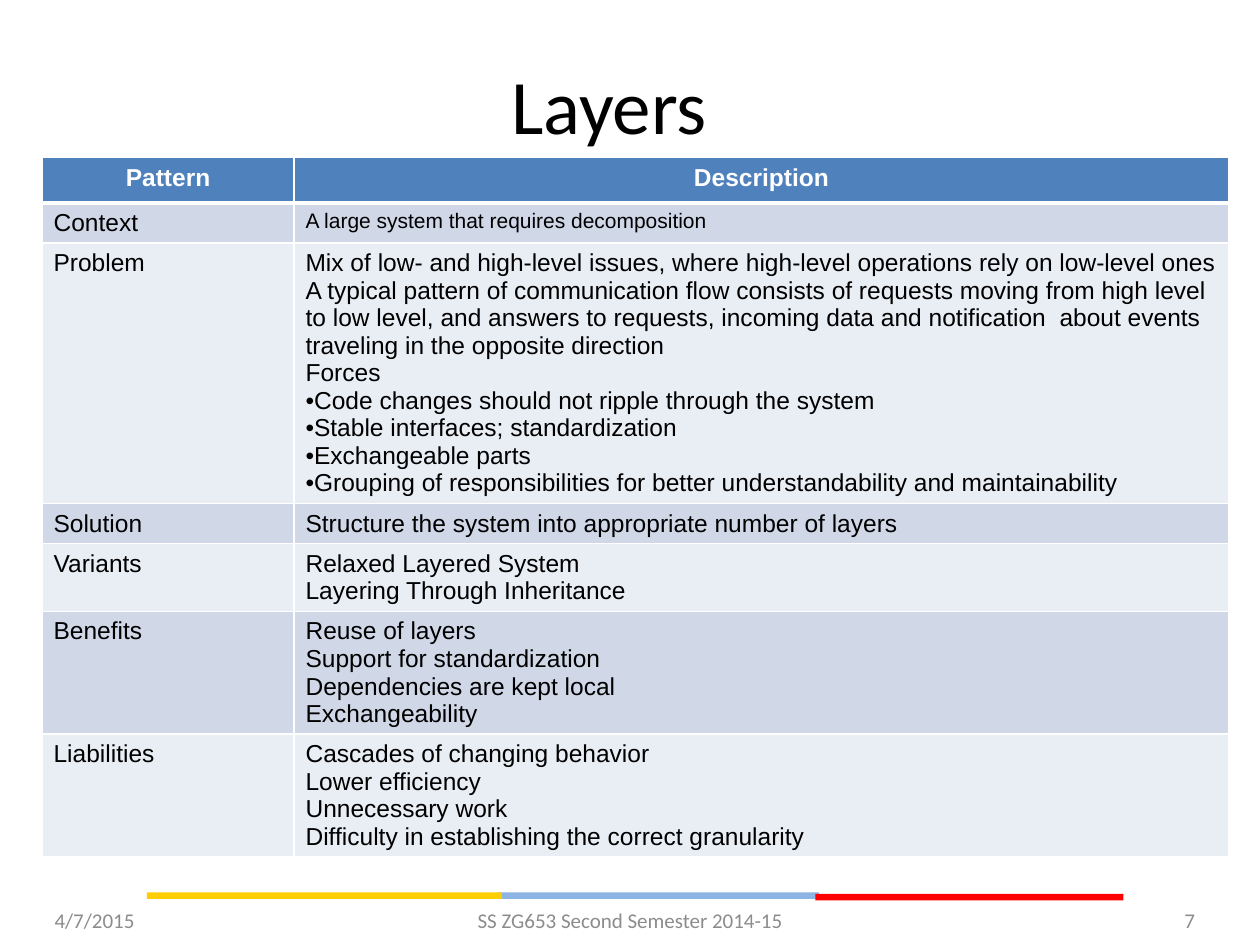
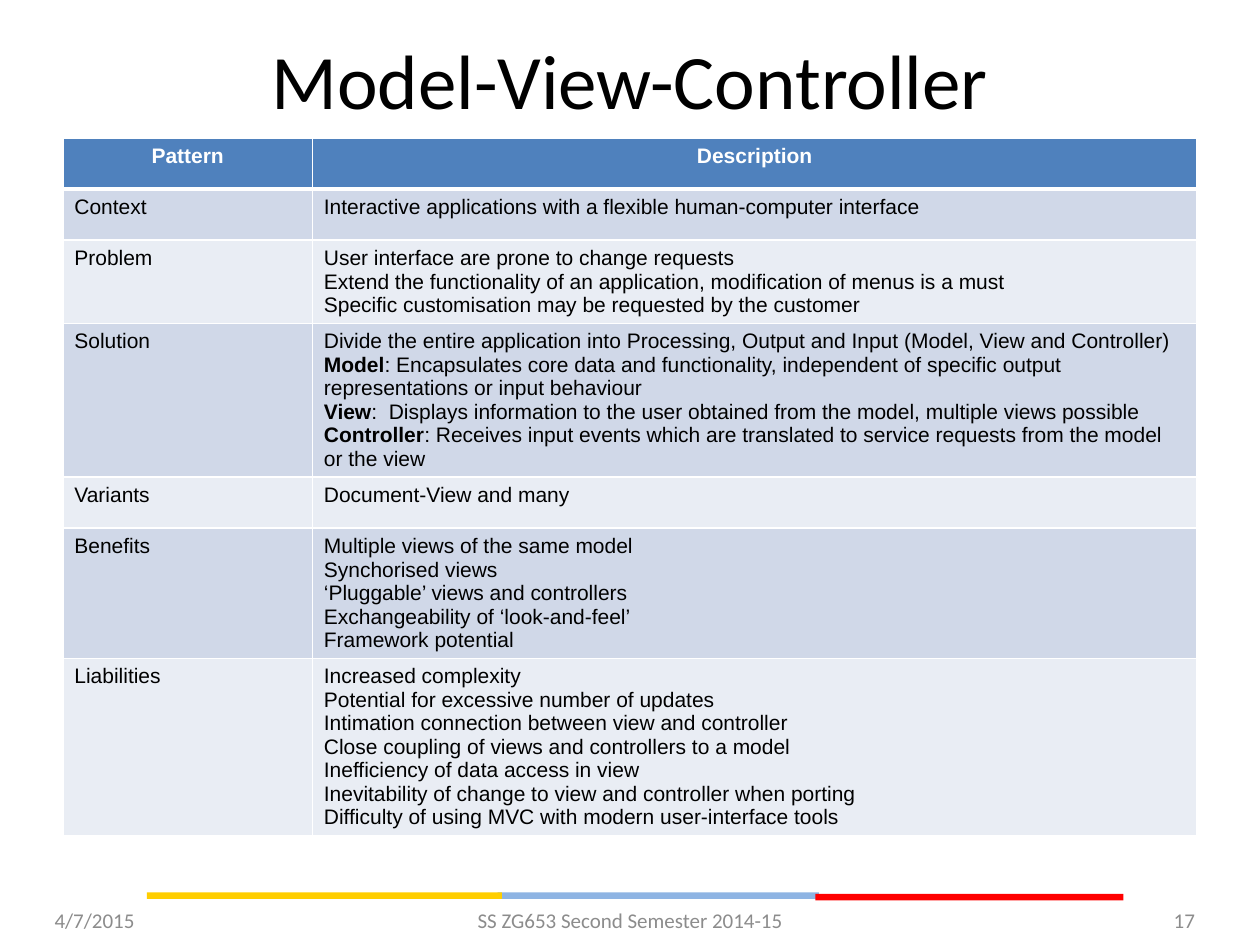
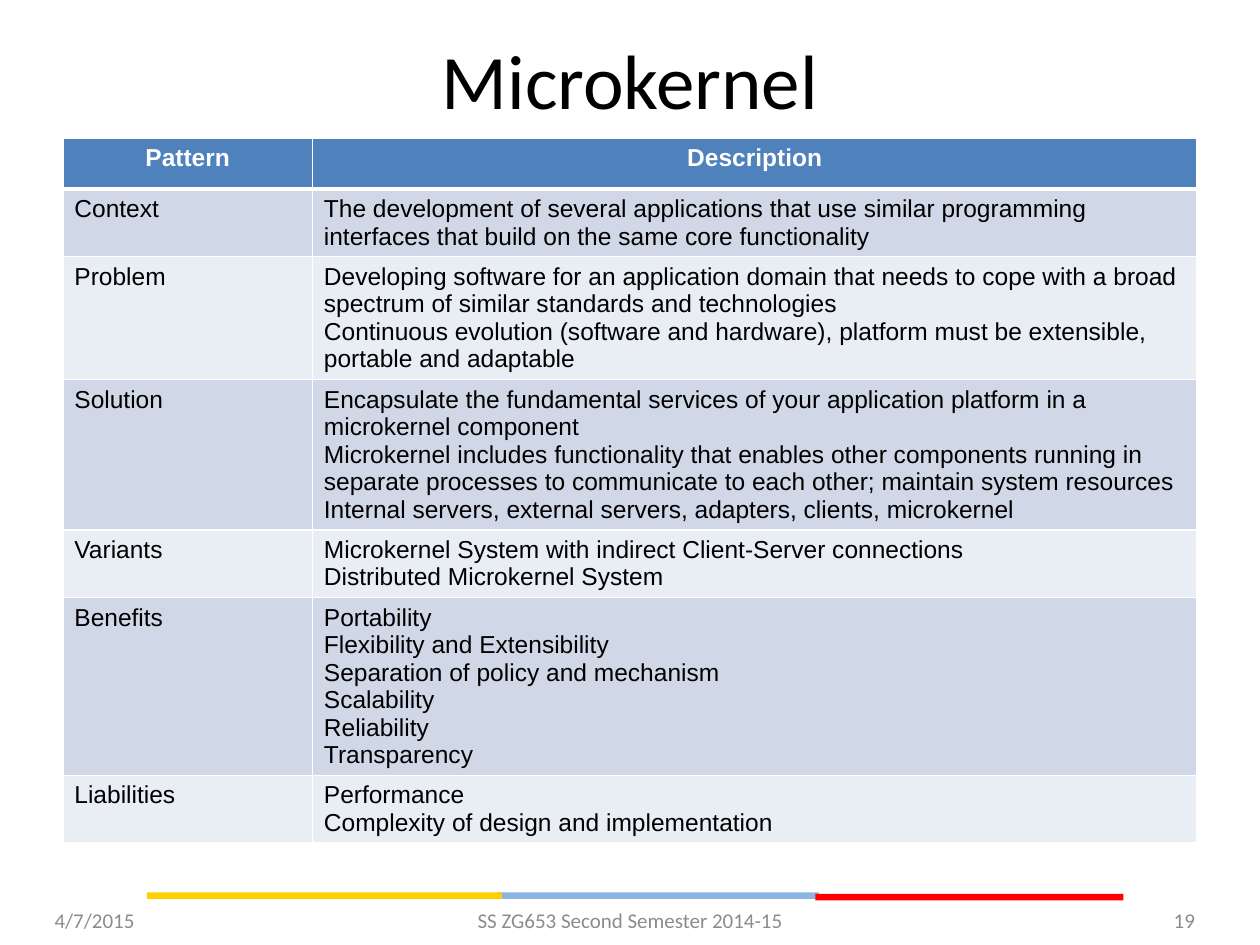
from dataclasses import dataclass

from lxml import etree
from pptx import Presentation
from pptx.dml.color import RGBColor
from pptx.enum.shapes import MSO_SHAPE
from pptx.enum.text import MSO_ANCHOR, PP_ALIGN
from pptx.oxml.ns import qn
from pptx.util import Cm, Pt

RECTANGLE = MSO_SHAPE.RECTANGLE
MIDDLE = MSO_ANCHOR.MIDDLE
LEFT, CENTER, RIGHT = PP_ALIGN.LEFT, PP_ALIGN.CENTER, PP_ALIGN.RIGHT
TITLE_ONLY = 5
BULLET = "•"


@dataclass(frozen=True)
class Theme:
    ink: RGBColor = RGBColor(0x00, 0x00, 0x00)
    white: RGBColor = RGBColor(0xFF, 0xFF, 0xFF)
    footer: RGBColor = RGBColor(0x8C, 0x8C, 0x8C)
    header: RGBColor = RGBColor(0x4F, 0x81, 0xBD)
    row_dark: RGBColor = RGBColor(0xD0, 0xD8, 0xE8)
    row_light: RGBColor = RGBColor(0xE9, 0xED, 0xF4)
    blue: RGBColor = RGBColor(0x8E, 0xB4, 0xE3)
    red: RGBColor = RGBColor(0xFF, 0x00, 0x00)
    yellow: RGBColor = RGBColor(0xFF, 0xCE, 0x00)
    heading_font: str = "Calibri"
    table_font: str = "Arial"
    title_size: int = 44
    table_size: int = 14
    small_size: int = 12
    thin_border: int = 1
    thick_border: int = 3


THEME = Theme()

# left, top, width in cm, and colour
BANDS = [
    (10.03, 17.99, 6.48, THEME.blue),
    (16.44, 18.02, 6.21, THEME.red),
    (2.96, 17.99, 7.16, THEME.yellow),
]
BAND_HEIGHT = 0.13
FOOTER_TOP, FOOTER_HEIGHT = 18.03, 1.02
CELL_MARGIN = 0.23


@dataclass(frozen=True)
class Layout:
    """Title box, table corner, column widths and row heights, in cm."""
    title: tuple
    table: tuple
    columns: tuple
    rows: tuple


WIDE = Layout((0.85, 0.79, 22.86, 2.62), (0.85, 3.18), (5.08, 18.84),
              (0.91, 0.76, 5.08, 0.76, 1.32, 2.39, 2.39))
STANDARD = Layout((1.27, 0, 22.86, 3.18), (1.27, 2.78), (5.03, 17.83),
                  (1.03,) * 7)

# A line is a string, or a pair of bold lead and plain rest.
LAYERS = {
    "Context": ["A large system that requires decomposition"],
    "Problem": [
        "Mix of low- and high-level issues, where high-level operations rely on low-level ones",
        "A typical pattern of communication flow consists of requests moving from high level "
        "to low level, and answers to requests, incoming data and notification  about events "
        "traveling in the opposite direction",
        "Forces",
        "•Code changes should not ripple through the system",
        "•Stable interfaces; standardization",
        "•Exchangeable parts",
        "•Grouping of responsibilities for better understandability and maintainability",
    ],
    "Solution": ["Structure the system into appropriate number of layers"],
    "Variants": ["Relaxed Layered System", "Layering Through Inheritance"],
    "Benefits": [
        "Reuse of layers",
        "Support for standardization",
        "Dependencies are kept local",
        "Exchangeability",
    ],
    "Liabilities": [
        "Cascades of changing behavior",
        "Lower efficiency",
        "Unnecessary work",
        "Difficulty in establishing the correct granularity",
    ],
}

MODEL_VIEW_CONTROLLER = {
    "Context": ["Interactive applications with a flexible human-computer interface"],
    "Problem": [
        "User interface are prone to change requests",
        "Extend the functionality of an application, modification of menus is a must",
        "Specific customisation may be requested by the customer",
    ],
    "Solution": [
        "Divide the entire application into Processing, Output and Input "
        "(Model, View and Controller)",
        ("Model", ": Encapsulates core data and functionality, independent of specific "
                  "output representations or input behaviour"),
        ("View", ":  Displays information to the user obtained from the model, "
                 "multiple views possible"),
        ("Controller", ": Receives input events which are translated to service requests "
                       "from the model or the view"),
    ],
    "Variants": ["Document-View and many"],
    "Benefits": [
        "Multiple views of the same model",
        "Synchorised views",
        "‘Pluggable’ views and controllers",
        "Exchangeability of ‘look-and-feel’",
        "Framework potential",
    ],
    "Liabilities": [
        "Increased complexity",
        "Potential for excessive number of updates",
        "Intimation connection between view and controller",
        "Close coupling of views and controllers to a model",
        "Inefficiency of data access in view",
        "Inevitability of change to view and controller when porting",
        "Difficulty of using MVC with modern user-interface tools",
    ],
}

MICROKERNEL = {
    "Context": [
        "The development of several applications that use similar programming interfaces "
        "that build on the same core functionality",
    ],
    "Problem": [
        "Developing software for an application domain that needs to cope with a broad "
        "spectrum of similar standards and technologies",
        "Continuous evolution (software and hardware), platform must be extensible, "
        "portable and adaptable",
    ],
    "Solution": [
        "Encapsulate the fundamental services of your application platform in a "
        "microkernel component",
        "Microkernel includes functionality that enables other components running in "
        "separate processes to communicate to each other; maintain system resources",
        "Internal servers, external servers, adapters, clients, microkernel",
    ],
    "Variants": [
        "Microkernel System with indirect Client-Server connections",
        "Distributed Microkernel System",
    ],
    "Benefits": [
        "Portability",
        "Flexibility and Extensibility",
        "Separation of policy and mechanism",
        "Scalability",
        "Reliability",
        "Transparency",
    ],
    "Liabilities": ["Performance", "Complexity of design and implementation"],
}


def set_font(paragraph, name, size, color, bold=False):
    font = paragraph.font
    font.name, font.size, font.bold = name, Pt(size), bold
    font.color.rgb = color


def add_bullet(paragraph):
    properties = paragraph._p.get_or_add_pPr()
    properties.set("marL", "0")
    properties.set("indent", "0")
    etree.SubElement(properties, qn("a:buFont")).set("typeface", THEME.table_font)
    etree.SubElement(properties, qn("a:buChar")).set("char", BULLET)


def add_title(slide, text, box):
    title = slide.shapes.title
    title.left, title.top, title.width, title.height = map(Cm, box)
    frame = title.text_frame
    frame.text = text
    frame.vertical_anchor = MIDDLE
    heading = frame.paragraphs[0]
    heading.alignment = CENTER
    set_font(heading, THEME.heading_font, THEME.title_size, THEME.ink)


def add_bands(slide):
    for left, top, width, color in BANDS:
        band = slide.shapes.add_shape(RECTANGLE, Cm(left), Cm(top), Cm(width), Cm(BAND_HEIGHT))
        band.shadow.inherit = False
        band.fill.solid()
        band.fill.fore_color.rgb = color
        band.line.fill.background()


def add_footer_text(slide, text, left, width, alignment):
    box = slide.shapes.add_textbox(Cm(left), Cm(FOOTER_TOP), Cm(width), Cm(FOOTER_HEIGHT))
    frame = box.text_frame
    frame.word_wrap = True
    frame.vertical_anchor = MIDDLE
    frame.text = text
    line = frame.paragraphs[0]
    line.alignment = alignment
    set_font(line, THEME.heading_font, THEME.small_size, THEME.footer)


def add_footer(slide, number):
    add_footer_text(slide, "4/7/2015", 0.85, 5.92, LEFT)
    add_footer_text(slide, "SS ZG653 Second Semester 2014-15", 8.68, 8.05, CENTER)
    add_footer_text(slide, str(number), 18.42, 5.92, RIGHT)


def set_borders(cell, top, bottom):
    """Draw white borders; must run before the cell gets its fill."""
    widths = {"a:lnL": THEME.thin_border, "a:lnR": THEME.thin_border,
              "a:lnT": top, "a:lnB": bottom}
    properties = cell._tc.get_or_add_tcPr()
    for side, width in widths.items():
        border = etree.SubElement(properties, qn(side), w=str(Pt(width)))
        fill = etree.SubElement(border, qn("a:solidFill"))
        etree.SubElement(fill, qn("a:srgbClr"), val=str(THEME.white))


def fill_cell(cell, lines, fill, size, color=THEME.ink, header=False):
    cell.margin_left = cell.margin_right = Cm(CELL_MARGIN)
    cell.fill.solid()
    cell.fill.fore_color.rgb = fill
    frame = cell.text_frame
    for index, line in enumerate(lines):
        paragraph = frame.add_paragraph() if index else frame.paragraphs[0]
        paragraph.alignment = CENTER if header else LEFT
        if isinstance(line, tuple):
            lead, rest = line
            paragraph.add_run().text = lead
            paragraph.runs[0].font.bold = True
            paragraph.add_run().text = rest
        else:
            if line.startswith(BULLET):
                add_bullet(paragraph)
            paragraph.add_run().text = line.removeprefix(BULLET)
        set_font(paragraph, THEME.table_font, size, color, header)


def add_pattern_table(slide, pattern, layout, size, context_size):
    left, top = layout.table
    table = slide.shapes.add_table(
        len(layout.rows), len(layout.columns), Cm(left), Cm(top),
        Cm(sum(layout.columns)), Cm(sum(layout.rows))).table
    for column, width in zip(table.columns, layout.columns):
        column.width = Cm(width)
    for index, (row, height) in enumerate(zip(table.rows, layout.rows)):
        row.height = Cm(height)
        above = THEME.thick_border if index == 1 else THEME.thin_border
        below = THEME.thick_border if index == 0 else THEME.thin_border
        for cell in row.cells:
            set_borders(cell, above, below)
    for column, heading in enumerate(("Pattern", "Description")):
        fill_cell(table.cell(0, column), [heading], THEME.header, size, THEME.white, header=True)
    for row, (aspect, description) in enumerate(pattern.items(), start=1):
        fill = THEME.row_dark if row % 2 else THEME.row_light
        description_size = context_size if aspect == "Context" else size
        fill_cell(table.cell(row, 0), [aspect], fill, size)
        fill_cell(table.cell(row, 1), description, fill, description_size)


def add_pattern_slide(deck, title, number, pattern, layout, size, context_size):
    slide = deck.slides.add_slide(deck.slide_layouts[TITLE_ONLY])
    add_bands(slide)
    add_title(slide, title, layout.title)
    add_pattern_table(slide, pattern, layout, size, context_size)
    add_footer(slide, number)


def main():
    deck = Presentation()
    deck.slide_width, deck.slide_height = Cm(25.4), Cm(19.05)
    normal, small = THEME.table_size, THEME.small_size
    add_pattern_slide(deck, "Layers", 7, LAYERS, WIDE, normal, small)
    add_pattern_slide(deck, "Model-View-Controller", 17, MODEL_VIEW_CONTROLLER,
                      STANDARD, small, small)
    add_pattern_slide(deck, "Microkernel", 19, MICROKERNEL, STANDARD, normal, normal)
    deck.save("out.pptx")


if __name__ == "__main__":
    main()
